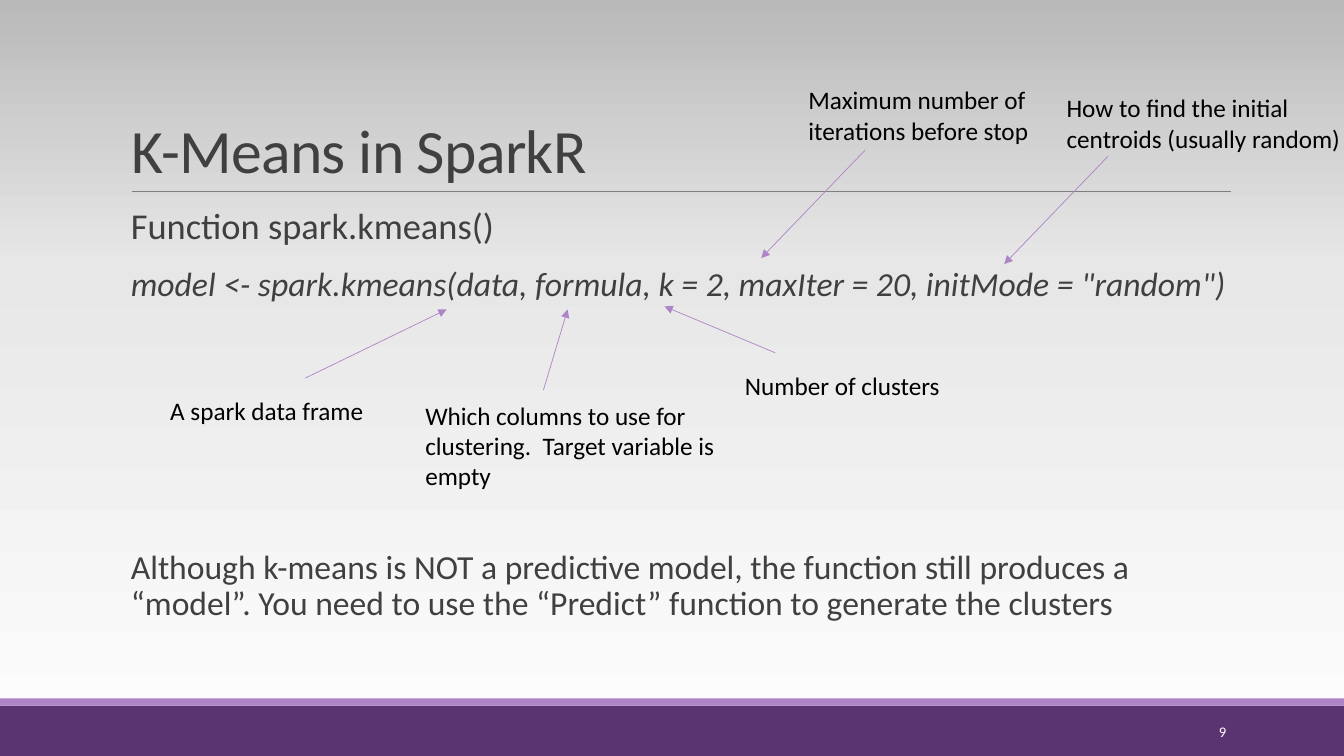
from copy import deepcopy
from dataclasses import dataclass

from lxml.etree import SubElement
from pptx import Presentation
from pptx.dml.color import RGBColor
from pptx.enum.shapes import MSO_CONNECTOR as Connector, MSO_SHAPE as Shape
from pptx.enum.text import MSO_ANCHOR as Anchor, MSO_AUTO_SIZE as AutoSize, PP_ALIGN as Align
from pptx.oxml.ns import qn
from pptx.util import Pt

PX = 9144  # EMU per px, 100 px to the inch


@dataclass(frozen=True)
class Theme:
    font: str = "Calibri"
    ink: str = "404040"
    label_ink: str = "000000"
    number_ink: str = "FFFFFF"
    band: str = "5A3471"
    accent: str = "AD84C6"
    rule: str = "808080"
    backdrop: tuple = ((0, "FEFEFE"), (0.65, "E7E7E7"), (1, "B9B9B9"))
    title_size: float = 44
    lead_size: float = 26
    body_size: float = 24
    label_size: float = 18
    number_size: float = 10.5
    hairline: float = 0.5


@dataclass(frozen=True)
class Box:
    x: int
    y: int
    w: int
    h: int

    def emu(self):
        return [v * PX for v in (self.x, self.y, self.w, self.h)]

    def point(self, dx, dy):
        return (self.x + dx) * PX, (self.y + dy) * PX


THEME = Theme()


def assign(target, values):
    for name, value in values.items():
        setattr(target, name, value)


def write(paragraph, text, size, color, italic=False, **layout):
    run = paragraph.add_run()
    run.text = text
    assign(run.font, {"name": THEME.font, "size": Pt(size), "italic": italic})
    run.font.color.rgb = RGBColor.from_string(color)
    assign(paragraph, layout)
    return run


def text_frame(slide, box, **layout):
    frame = slide.shapes.add_textbox(*box.emu()).text_frame
    assign(frame, {"word_wrap": True, **layout})
    return frame


def draw_line(slide, start, end, color, arrow=False):
    line = slide.shapes.add_connector(Connector.STRAIGHT, *start, *end)
    line.line.width = Pt(THEME.hairline)
    line.line.color.rgb = RGBColor.from_string(color)
    if arrow:
        SubElement(line.line._get_or_add_ln(), qn("a:tailEnd"), type="triangle")
    SubElement(line._element.spPr, qn("a:effectLst"))


def paint_backdrop(slide):
    fill = slide.background.fill
    fill.gradient()
    fill.gradient_angle = 90
    stops = slide.element.find(".//" + qn("a:gsLst"))
    stops.append(deepcopy(stops[-1]))
    for stop, (position, color) in zip(fill.gradient_stops, THEME.backdrop):
        stop.position = position
        stop.color.rgb = RGBColor.from_string(color)


def add_footer(slide, box, number):
    # Dark band with a thin accent strip on top
    strip = Box(box.x, box.y, box.w, 7)
    band = Box(box.x, box.y + strip.h, box.w, box.h - strip.h)
    for part, color in ((band, THEME.band), (strip, THEME.accent)):
        bar = slide.shapes.add_shape(Shape.RECTANGLE, *part.emu())
        bar.shadow.inherit = False
        bar.fill.solid()
        bar.fill.fore_color.rgb = RGBColor.from_string(color)
        bar.line.fill.background()
    # Slide number
    place = Box(box.x + 1083, box.y + 13, 143, 40)
    frame = text_frame(slide, place, vertical_anchor=Anchor.MIDDLE)
    write(frame.paragraphs[0], number, THEME.number_size, THEME.number_ink,
          alignment=Align.RIGHT)


def add_title(slide, box, text):
    title = slide.shapes.title
    assign(title, dict(zip(("left", "top", "width", "height"), box.emu())))
    assign(title.text_frame, {"vertical_anchor": Anchor.BOTTOM, "word_wrap": True,
                              "auto_size": AutoSize.NONE})
    run = write(title.text_frame.paragraphs[0], text, THEME.title_size, THEME.ink,
                alignment=Align.LEFT, line_spacing=0.85)
    run.font._element.set("spc", "-50")
    # Rule under the title
    draw_line(slide, box.point(11, box.h), box.point(box.w + 1, box.h), THEME.rule)


def add_body(slide, box, lead, call, remark):
    frame = text_frame(slide, box, margin_left=10 * PX, margin_right=0)
    # The remark stands well below the call, leaving room for callouts
    for index, (text, size, italic, before) in enumerate((
            (lead, THEME.lead_size, False, 0),
            (call, THEME.body_size, True, 12),
            (remark, THEME.body_size, False, 174))):
        paragraph = frame.paragraphs[0] if index == 0 else frame.add_paragraph()
        write(paragraph, text, size, THEME.ink, italic, line_spacing=0.9,
              space_before=Pt(before), space_after=Pt(2))


def add_callout(slide, box, text, start, tip):
    # Arrow ends are offsets from the label's top left corner
    draw_line(slide, box.point(*start), box.point(*tip), THEME.accent, arrow=True)
    write(text_frame(slide, box).paragraphs[0], text, THEME.label_size, THEME.label_ink)


CALLOUTS = (
    (Box(159, 387, 220, 40), "A spark data frame", (144, -12), (284, -80)),
    (Box(412, 392, 333, 101),
     "Which columns to use for clustering.  Target variable is empty", (127, -5), (151, -85)),
    (Box(729, 362, 229, 40), "Number of clusters", (40, -12), (-70, -58)),
    (Box(792, 79, 287, 71), "Maximum number of iterations before stop", (66, 70), (-37, 177)),
    (Box(1048, 87, 299, 71),
     "How to find the initial centroids (usually random)", (51, 68), (-52, 175)),
)


def main():
    deck = Presentation()
    assign(deck, {"slide_width": 1333 * PX, "slide_height": 750 * PX})
    slide = deck.slides.add_slide(deck.slide_layouts.get_by_name("Title Only"))
    paint_backdrop(slide)
    add_footer(slide, Box(0, 693, 1333, 57), "9")
    add_title(slide, Box(120, 31, 1100, 159), "K-Means in SparkR")
    add_body(
        slide, Box(120, 202, 1100, 440),
        "Function spark.kmeans()",
        'model <- spark.kmeans(data, formula, k = 2, maxIter = 20, initMode = "random")',
        "Although k-means is NOT a predictive model, the function still produces a “model”. "
        "You need to use the “Predict” function to generate the clusters")
    for callout in CALLOUTS:
        add_callout(slide, *callout)
    deck.save("out.pptx")


if __name__ == "__main__":
    main()
